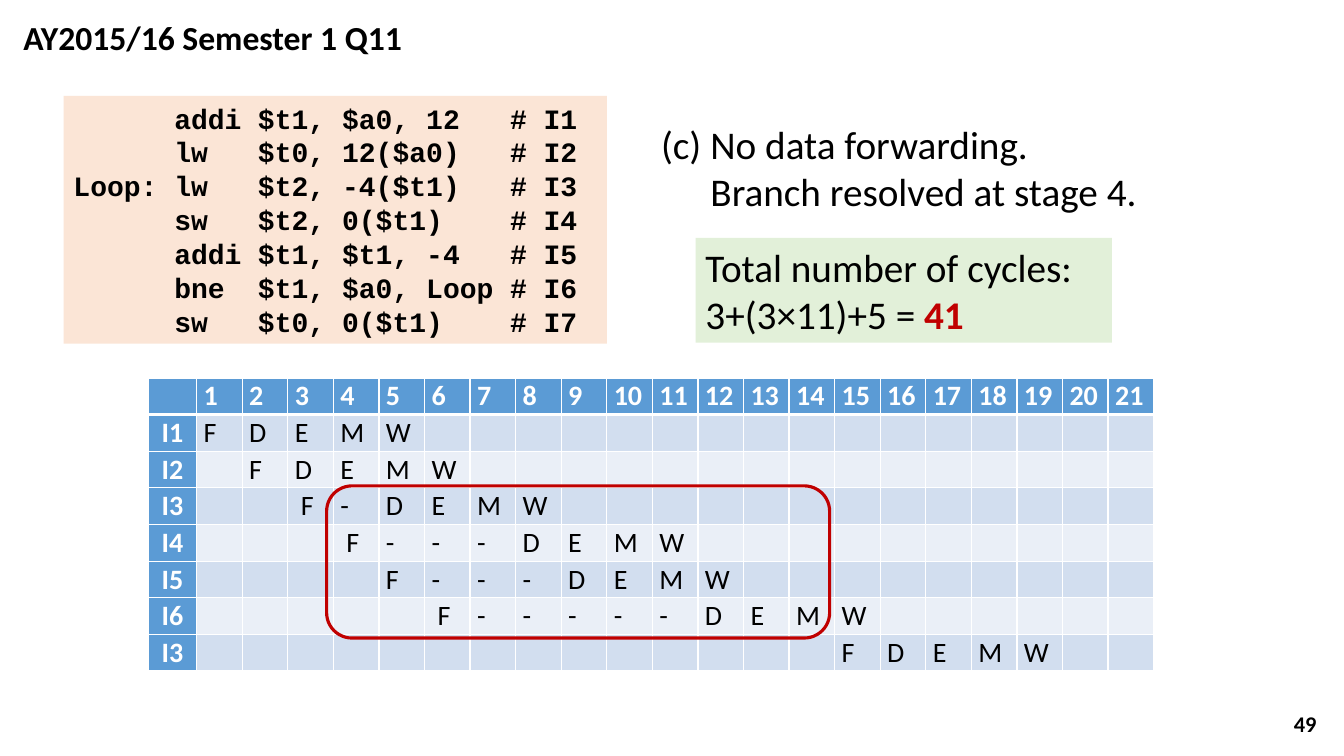
from dataclasses import dataclass

from lxml.etree import SubElement
from pptx import Presentation
from pptx.dml.color import RGBColor as RGB
from pptx.enum.shapes import MSO_SHAPE as Shape
from pptx.enum.text import MSO_ANCHOR as Anchor, MSO_AUTO_SIZE as AutoSize, PP_ALIGN as Align
from pptx.oxml.ns import qn
from pptx.util import Emu, Inches, Pt


@dataclass(frozen=True)
class Theme:
    body: str = "Calibri"
    mono: str = "Courier New"
    black: RGB = RGB(0x00, 0x00, 0x00)
    white: RGB = RGB(0xFF, 0xFF, 0xFF)
    red: RGB = RGB(0xC0, 0x00, 0x00)
    peach: RGB = RGB(0xFB, 0xE5, 0xD6)
    green: RGB = RGB(0xE2, 0xF0, 0xD9)
    header: RGB = RGB(0x5B, 0x9B, 0xD5)
    bands: tuple = (RGB(0xEA, 0xEF, 0xF7), RGB(0xD2, 0xDE, 0xEF))
    title: Pt = Pt(24)
    text: Pt = Pt(28)
    small: Pt = Pt(20)
    code_line: Pt = Pt(24.2)
    number: Pt = Pt(16)


theme = Theme()
prs = Presentation()
prs.slide_width, prs.slide_height = Inches(13.33), Inches(7.5)
slide = prs.slides.add_slide(prs.slide_layouts[5])


def area(left, top, width, height):
    """Turn percentages of the slide into left, top, width, height."""
    across, down = prs.slide_width / 100, prs.slide_height / 100
    return Emu(int(left * across)), Emu(int(top * down)), Emu(int(width * across)), Emu(int(height * down))


def style(frame, size, font=theme.body, color=theme.black, bold=False, align=Align.LEFT, tabs=()):
    """Format every run of a text frame; tabs are stops in inches."""
    for paragraph in frame.paragraphs:
        paragraph.alignment = align
        if tabs:
            stops = SubElement(paragraph._p.get_or_add_pPr(), qn("a:tabLst"))
            for stop in tabs:
                SubElement(stops, qn("a:tab"), pos=str(Inches(stop)), algn="l")
        for run in paragraph.runs:
            run.font.name, run.font.size, run.font.bold = font, size, bold
            run.font.color.rgb = color


# Title and slide number
title = slide.shapes.title
title.left, title.top, title.width, title.height = area(0.98, 1.6, 30.6, 6.67)
title.text_frame.text = "AY2015/16 Semester 1 Q11"
title.text_frame.auto_size = AutoSize.NONE
title.text_frame.vertical_anchor = Anchor.TOP
style(title.text_frame, theme.title, bold=True)

number = slide.shapes.add_textbox(*area(76.2, 93.07, 22.5, 5.33)).text_frame
number.text = "49"
number.word_wrap = True
number.vertical_anchor = Anchor.MIDDLE
style(number, theme.number, bold=True, align=Align.RIGHT)

# Question
question = slide.shapes.add_textbox(*area(48.45, 15.2, 42, 13.87)).text_frame
question.word_wrap = True
question.paragraphs[0].text = "(c)\tNo data forwarding.\vBranch resolved at stage 4."
hanging = question.paragraphs[0]._p.get_or_add_pPr()
hanging.set("marL", str(Inches(0.49)))
hanging.set("indent", str(-Inches(0.49)))
style(question, theme.text, tabs=[0.49])

# Program and answer panels
program = [
    ("", "addi", "$t1, $a0, 12", "# I1"),
    ("", "lw", "$t0, 12($a0)", "# I2"),
    ("Loop:", "lw", "$t2, -4($t1)", "# I3"),
    ("", "sw", "$t2, 0($t1)", "# I4"),
    ("", "addi", "$t1, $t1, -4", "# I5"),
    ("", "bne", "$t1, $a0, Loop", "# I6"),
    ("", "sw", "$t0, 0($t1)", "# I7"),
]
listing = "\n".join("\t".join(parts) for parts in program)
total = "Total number of cycles:\n3+(3×11)+5 = "
panels = []
for place, fill, words in [
    (area(4.73, 12.67, 40.43, 32.8), theme.peach, listing),
    (area(51.75, 31.47, 30.98, 13.87), theme.green, total),
]:
    panel = slide.shapes.add_shape(Shape.RECTANGLE, *place)
    panel.shadow.inherit = False
    panel.fill.solid()
    panel.fill.fore_color.rgb = fill
    panel.line.fill.background()
    panel.text_frame.text = words
    panel.text_frame.word_wrap = True
    panel.text_frame.vertical_anchor = Anchor.TOP
    panels.append(panel.text_frame)
code, answer = panels

style(code, theme.small, font=theme.mono, bold=True, tabs=[1, 1.83, 4.33])
for line in code.paragraphs:
    line.line_spacing = theme.code_line

cycles = answer.paragraphs[1].add_run()
cycles.text = "41"
style(answer, theme.text)
cycles.font.bold = True
cycles.font.color.rgb = theme.red

# Pipeline chart: instruction, first cycle, stages, extra left margin of the fetch cell
pipeline = [
    ("I1", 1, "FDEMW", 0),
    ("I2", 2, "FDEMW", 0),
    ("I3", 3, "F-DEMW", 0.06),
    ("I4", 4, "F---DEMW", 0.06),
    ("I5", 5, "F---DEMW", 0),
    ("I6", 6, "F-----DEMW", 0.06),
    ("I3", 15, "FDEMW", 0),
]
CYCLES = 21
rows = [["", *map(str, range(1, CYCLES + 1))]]
for name, first, stages, _ in pipeline:
    rows.append([name, *[""] * (first - 1), *stages, *[""] * (CYCLES + 1 - first - len(stages))])

left, top, width, height = area(11.03, 50, 74.85, 38.8)
table = slide.shapes.add_table(len(rows), CYCLES + 1, left, top, width, height).table
table.first_col = True
label_width = Inches(0.48)
for index, column in enumerate(table.columns):
    column.width = Emu((width - label_width) // CYCLES) if index else label_width
for r, row in enumerate(rows):
    table.rows[r].height = Emu(height // len(rows))
    for c, word in enumerate(row):
        cell = table.cell(r, c)
        heading = r == 0 or c == 0
        cell.text = word
        cell.vertical_anchor = Anchor.MIDDLE
        cell.margin_left = cell.margin_right = Inches(0.07)
        cell.margin_top = cell.margin_bottom = 0
        style(cell.text_frame, theme.small, bold=heading,
              color=theme.white if heading else theme.black,
              align=Align.LEFT if c else Align.CENTER)
        for side in "LRTB":
            thick = (r, side) in [(0, "B"), (1, "T")]
            border = SubElement(cell._tc.get_or_add_tcPr(), qn(f"a:ln{side}"), w=str(Pt(3 if thick else 1)))
            SubElement(SubElement(border, qn("a:solidFill")), qn("a:srgbClr"), val=str(theme.white))
        cell.fill.solid()
        cell.fill.fore_color.rgb = theme.header if heading else theme.bands[r % 2]
for r, (_, first, _, shift) in enumerate(pipeline, start=1):
    table.cell(r, first).margin_left = Inches(0.07 + shift)

# Outline around one loop iteration
iteration = slide.shapes.add_shape(Shape.ROUNDED_RECTANGLE, *area(24.3, 64.27, 37.43, 20.13))
iteration.shadow.inherit = False
iteration.fill.background()
iteration.line.color.rgb = theme.red
iteration.line.width = Pt(2.25)

prs.save("out.pptx")
